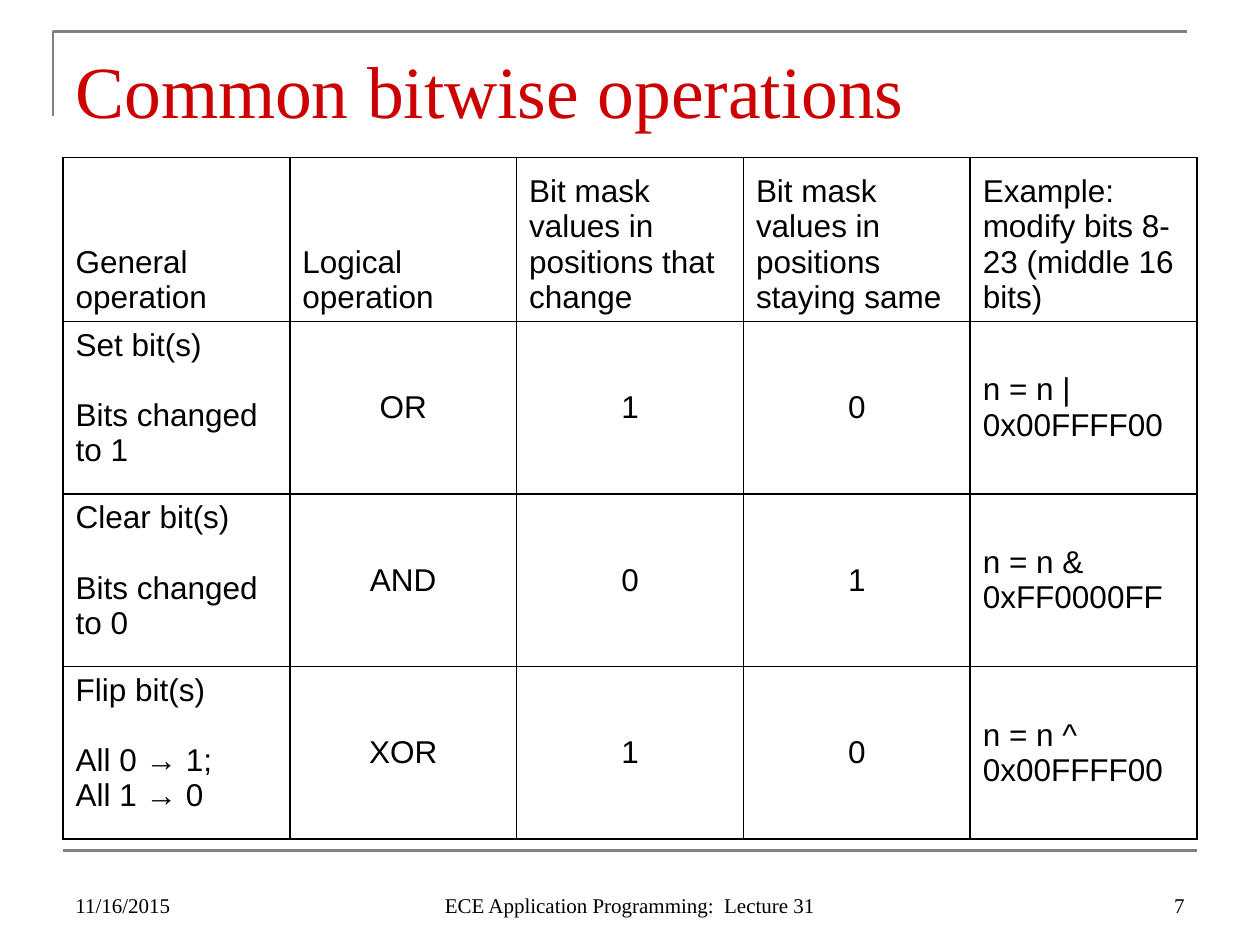
import pptx
import pptx.dml.color
import pptx.enum.shapes
import pptx.enum.text
import pptx.oxml
import pptx.oxml.ns
import pptx.util

Inches, Pt = pptx.util.Inches, pptx.util.Pt
ALIGN, ANCHOR = pptx.enum.text.PP_ALIGN, pptx.enum.text.MSO_ANCHOR
NS = pptx.oxml.ns.nsdecls("a")

WIDTH, HEIGHT = 10, 7.5
MARGIN = 0.05 * WIDTH
CONTENT_W = WIDTH - 2 * MARGIN
SERIF, SANS = "Times New Roman", "Arial"
BLACK, WHITE, GREY, RED = "000000", "FFFFFF", "808080", "CC0000"

HEADERS = ["General operation", "Logical operation",
           "Bit mask values in positions that change",
           "Bit mask values in positions staying same",
           "Example: modify bits 8-23 (middle 16 bits)"]
OPERATIONS = [
    ["Set bit(s)\nBits changed to 1", "OR", "1", "0", "n = n | 0x00FFFF00"],
    ["Clear bit(s)\nBits changed to 0", "AND", "0", "1", "n = n & 0xFF0000FF"],
    ["Flip bit(s)\nAll 0 → 1;\nAll 1 → 0", "XOR", "1", "0", "n = n ^ 0x00FFFF00"],
]


def rgb(value):
    return pptx.dml.color.RGBColor.from_string(value)


def style_text(tf, size, font, color, align=ALIGN.LEFT):
    for p in tf.paragraphs:
        p.alignment = align
        for r in p.runs:
            r.font.size, r.font.name = Pt(size), font
            r.font.color.rgb = rgb(color)


def add_text(slide, box, text, size, color, align=ALIGN.LEFT, bottom=0.05):
    """Bottom-anchored serif text."""
    tf = slide.shapes.add_textbox(*map(Inches, box)).text_frame
    tf.word_wrap = True
    tf.vertical_anchor = ANCHOR.BOTTOM
    tf.margin_bottom = Inches(bottom)
    tf.text = text
    style_text(tf, size, SERIF, color, align)


def add_frame(slide, box):
    """Corner line over the title and rule under the table."""
    x, y, w, h = box
    builder = slide.shapes.build_freeform(Inches(x - 0.08), Inches(y + 0.67))
    builder.add_line_segments([(Inches(x - 0.08), Inches(y)),
                               (Inches(x - 0.08 + w), Inches(y))], close=False)
    corner = builder.convert_to_shape()
    corner.shadow.inherit = False
    corner.fill.background()
    rule = slide.shapes.add_connector(
        pptx.enum.shapes.MSO_CONNECTOR.STRAIGHT,
        Inches(x), Inches(y + h), Inches(x + w), Inches(y + h))
    rule._element.spPr.append(pptx.oxml.parse_xml(f"<a:effectLst {NS}/>"))
    for sp in (corner, rule):
        sp.line.color.rgb = rgb(GREY)
        sp.line.width = Pt(1.5)


def set_borders(cell):
    tcPr = cell._tc.get_or_add_tcPr()
    for i, side in enumerate(("lnL", "lnR", "lnT", "lnB")):
        tcPr.insert(i, pptx.oxml.parse_xml(
            f'<a:{side} {NS} w="12700"><a:solidFill><a:srgbClr val="{BLACK}"/>'
            f'</a:solidFill></a:{side}>'))


def fill_cell(cell, text, anchor, align):
    cell.fill.solid()
    cell.fill.fore_color.rgb = rgb(WHITE)
    set_borders(cell)
    cell.vertical_anchor = anchor
    tf = cell.text_frame
    tf.text = text
    style_text(tf, 18, SANS, BLACK, align)
    if len(tf.paragraphs) > 1:
        tf.paragraphs[1].space_before = Pt(20)


def add_operations_table(slide, box, header_h):
    x, y, w, h = box
    rows = [HEADERS] + OPERATIONS
    table = slide.shapes.add_table(len(rows), len(HEADERS),
                                   *map(Inches, box)).table
    table.first_row = table.horz_banding = False
    for col in table.columns:
        col.width = Inches(w / len(HEADERS))
    for i, texts in enumerate(rows):
        table.rows[i].height = Inches(
            (h - header_h) / len(OPERATIONS) if i else header_h)
        for j, text in enumerate(texts):
            if i == 0:
                anchor = ANCHOR.BOTTOM
            else:
                anchor = ANCHOR.MIDDLE if j else ANCHOR.TOP
            centred = i > 0 and 0 < j < len(texts) - 1
            fill_cell(table.cell(i, j), text, anchor,
                      ALIGN.CENTER if centred else ALIGN.LEFT)


def add_footer(slide, box):
    x, y, w, h = box
    side_w, mid_w = 2.33, 3.17
    parts = [
        (x, side_w, "11/16/2015", ALIGN.LEFT),
        (x + (w - mid_w) / 2, mid_w,
         "ECE Application Programming:  Lecture 31", ALIGN.CENTER),
        (x + w - side_w, side_w, "7", ALIGN.RIGHT),
    ]
    for left, width, text, align in parts:
        add_text(slide, (left, y, width, h), text, 12, BLACK, align)


def main():
    prs = pptx.Presentation()
    prs.slide_width, prs.slide_height = Inches(WIDTH), Inches(HEIGHT)
    slide = prs.slides.add_slide(prs.slide_layouts[6])
    add_frame(slide, (MARGIN, 0.25, CONTENT_W, 6.5))
    add_text(slide, (MARGIN, 0.3, CONTENT_W, 0.78),
             "Common bitwise operations", 42, RED, bottom=0.02)
    add_operations_table(slide, (MARGIN, 1.25, CONTENT_W, 5.41), 1.3)
    add_footer(slide, (MARGIN, 6.83, CONTENT_W, 0.5))
    prs.save("out.pptx")


if __name__ == "__main__":
    main()
